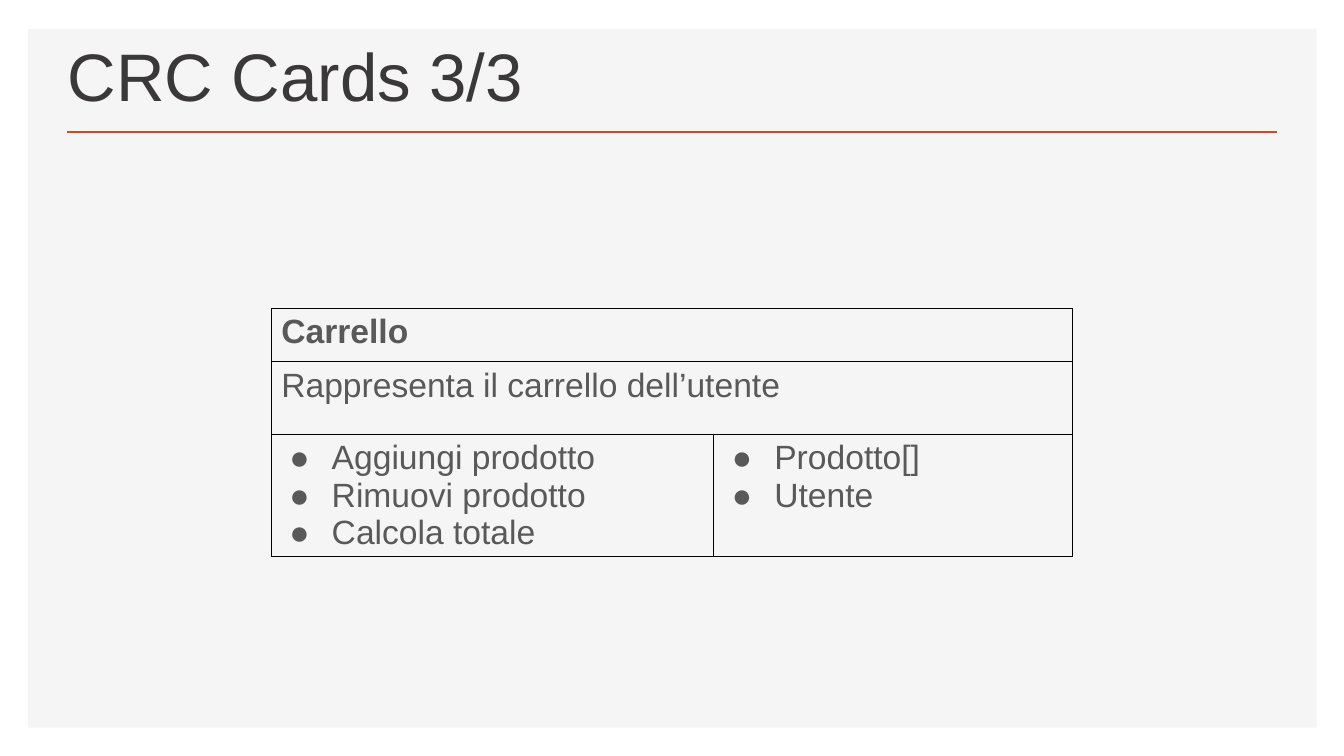
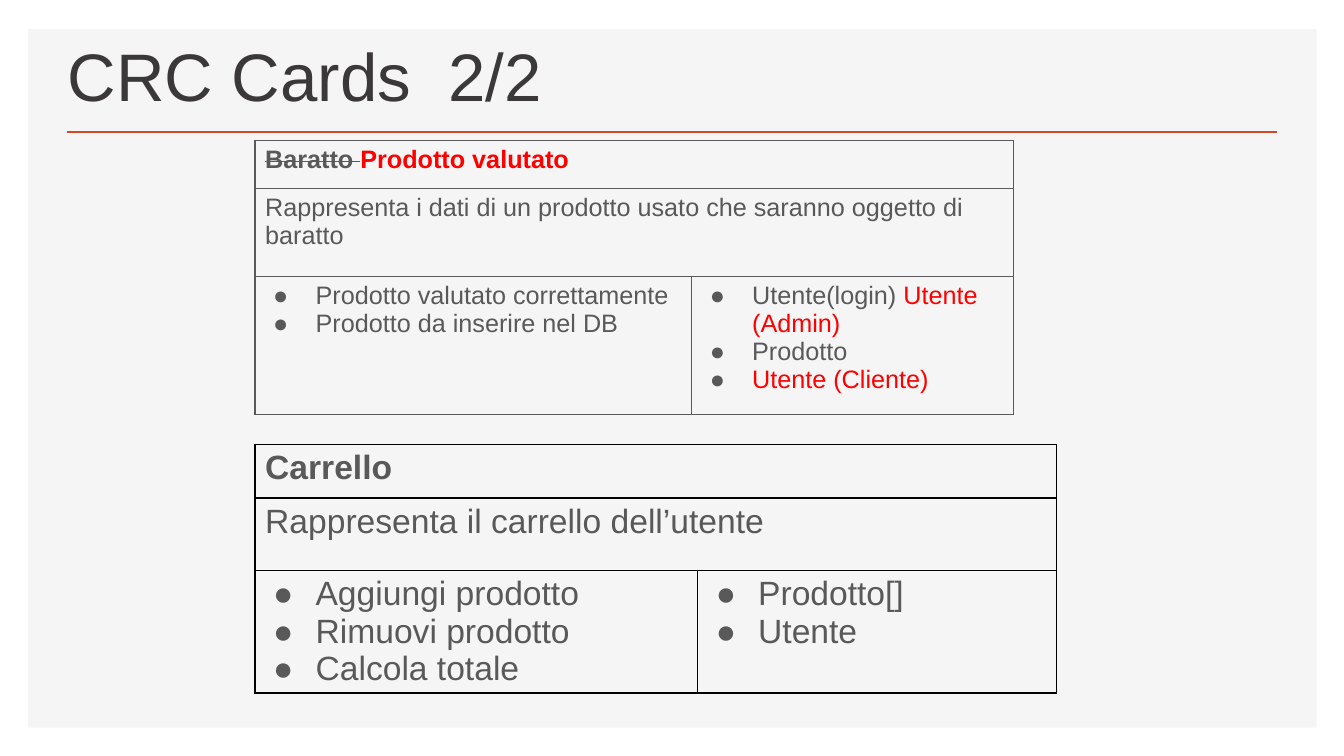
from dataclasses import dataclass

from lxml import etree
from pptx import Presentation
from pptx.dml.color import RGBColor
from pptx.enum.shapes import MSO_CONNECTOR, MSO_SHAPE
from pptx.enum.text import MSO_ANCHOR, MSO_AUTO_SIZE, PP_ALIGN
from pptx.oxml.ns import qn
from pptx.util import Inches, Pt

RECTANGLE = MSO_SHAPE.RECTANGLE
STRAIGHT = MSO_CONNECTOR.STRAIGHT
BOTTOM = MSO_ANCHOR.BOTTOM
NO_AUTOFIT = MSO_AUTO_SIZE.NONE
LEFT = PP_ALIGN.LEFT
TITLE_ONLY = 5
BORDER_SIDES = ("a:lnL", "a:lnR", "a:lnT", "a:lnB")


@dataclass(frozen=True)
class Theme:
    font: str = "Arial"
    panel: str = "F5F5F5"
    accent: str = "D24726"
    title: str = "3A3838"
    body: str = "595959"
    revised: str = "FF0000"
    black: str = "000000"
    title_size: int = 48
    large_size: int = 24
    small_size: int = 18


THEME = Theme()


@dataclass(frozen=True)
class Span:
    text: str
    color: str = THEME.body
    struck: bool = False


Line = tuple[Span, ...]


@dataclass(frozen=True)
class Card:
    name: Line
    purpose: str
    duties: tuple[Line, ...]
    partners: tuple[Line, ...]
    columns: tuple[float, float]
    rows: tuple[float, float, float]
    size: int
    border: str


@dataclass(frozen=True)
class Placement:
    card: Card
    left: float
    top: float


@dataclass(frozen=True)
class Page:
    title: str
    placements: tuple[Placement, ...]


CART = Card(
    name=(Span("Carrello"),),
    purpose="Rappresenta il carrello dell’utente",
    duties=(
        (Span("Aggiungi prodotto"),),
        (Span("Rimuovi prodotto"),),
        (Span("Calcola totale"),),
    ),
    partners=((Span("Prodotto[]"),), (Span("Utente"),)),
    columns=(4.39, 3.56),
    rows=(0.53, 0.72, 1.21),
    size=THEME.large_size,
    border=THEME.black,
)

BARTER = Card(
    name=(Span("Baratto ", struck=True), Span("Prodotto valutato", THEME.revised)),
    purpose="Rappresenta i dati di un prodotto usato che saranno oggetto di baratto",
    duties=(
        (Span("Prodotto valutato correttamente"),),
        (Span("Prodotto da inserire nel DB"),),
    ),
    partners=(
        (Span("Utente(login) "), Span("Utente (Admin)", THEME.revised)),
        (Span("Prodotto"),),
        (Span("Utente (Cliente)", THEME.revised),),
    ),
    columns=(4.33, 3.19),
    rows=(0.48, 0.87, 1.37),
    size=THEME.small_size,
    border=THEME.body,
)

PAGES = (
    Page("CRC Cards 3/3", (Placement(CART, 2.69, 3.06),)),
    Page("CRC Cards  2/2", (Placement(BARTER, 2.53, 1.39), Placement(CART, 2.53, 4.41))),
)


def rgb(color: str) -> RGBColor:
    return RGBColor.from_string(color)


def decorate_layout(layout, page) -> None:
    for placeholder in list(layout.placeholders)[1:]:
        placeholder.element.getparent().remove(placeholder.element)
    panel = page.shapes.add_shape(
        RECTANGLE, Inches(0.28), Inches(0.29), Inches(12.78), Inches(6.93)
    )
    panel.shadow.inherit = False
    panel.fill.solid()
    panel.fill.fore_color.rgb = rgb(THEME.panel)
    panel.line.fill.background()
    rule = page.shapes.add_connector(
        STRAIGHT, Inches(0.66), Inches(1.31), Inches(12.67), Inches(1.31)
    )
    rule.line.color.rgb = rgb(THEME.accent)
    rule.line.width = Pt(2)
    etree.SubElement(rule.element.spPr, qn("a:effectLst"))
    tree = layout.placeholders[0].element.getparent()
    tree.extend((panel.element, rule.element))


def write_title(page, text: str) -> None:
    title = page.shapes.title
    title.left, title.top = Inches(0.57), Inches(0.49)
    title.width, title.height = Inches(7.52), Inches(0.7)
    box = title.text_frame
    box.text = text
    box.auto_size = NO_AUTOFIT
    box.vertical_anchor = BOTTOM
    para = box.paragraphs[0]
    para.alignment = LEFT
    para.font.name = THEME.font
    para.font.size = Pt(THEME.title_size)
    para.font.color.rgb = rgb(THEME.title)


def add_bullet(para) -> None:
    properties = para._p.get_or_add_pPr()
    properties.set("marL", str(Inches(0.5)))
    properties.set("indent", str(Inches(-0.42)))
    bullet_color = etree.SubElement(properties, qn("a:buClr"))
    etree.SubElement(bullet_color, qn("a:srgbClr"), val=THEME.body)
    etree.SubElement(properties, qn("a:buFont"), typeface=THEME.font)
    etree.SubElement(properties, qn("a:buChar"), char="●")


def write_cell(
    cell, lines: tuple[Line, ...], size: int, bold: bool = False, bulleted: bool = False
) -> None:
    box = cell.text_frame
    for index, line in enumerate(lines):
        para = box.add_paragraph() if index else box.paragraphs[0]
        if bulleted:
            add_bullet(para)
        para.font.name = THEME.font
        para.font.size = Pt(size)
        para.font.bold = bold
        for span in line:
            run = para.add_run()
            run.text = span.text
            run.font.color.rgb = rgb(span.color)
            if span.struck:
                run._r.get_or_add_rPr().set("strike", "sngStrike")


def outline_cell(cell, color: str) -> None:
    properties = cell._tc.get_or_add_tcPr()
    for side in BORDER_SIDES:
        border = etree.SubElement(properties, qn(side), w=str(Pt(1)))
        fill = etree.SubElement(border, qn("a:solidFill"))
        etree.SubElement(fill, qn("a:srgbClr"), val=color)
    cell.fill.background()


def draw_card(page, placement: Placement) -> None:
    card = placement.card
    table = page.shapes.add_table(
        len(card.rows),
        len(card.columns),
        Inches(placement.left),
        Inches(placement.top),
        Inches(sum(card.columns)),
        Inches(sum(card.rows)),
    ).table
    table.first_row = False
    table.horz_banding = False
    for column, width in zip(table.columns, card.columns):
        column.width = Inches(width)
    for row, height in zip(table.rows, card.rows):
        row.height = Inches(height)
    for cell in table.iter_cells():
        outline_cell(cell, card.border)
    for row in (0, 1):
        table.cell(row, 0).merge(table.cell(row, 1))
    write_cell(table.cell(0, 0), (card.name,), card.size, bold=True)
    write_cell(table.cell(1, 0), ((Span(card.purpose),),), card.size)
    for column, lines in enumerate((card.duties, card.partners)):
        write_cell(table.cell(2, column), lines, card.size, bulleted=True)


def main() -> None:
    deck = Presentation()
    deck.slide_width, deck.slide_height = Inches(13.33), Inches(7.5)
    layout = deck.slide_layouts[TITLE_ONLY]
    for index, content in enumerate(PAGES):
        page = deck.slides.add_slide(layout)
        if index == 0:
            decorate_layout(layout, page)
        write_title(page, content.title)
        for placement in content.placements:
            draw_card(page, placement)
    deck.save("out.pptx")


if __name__ == "__main__":
    main()
